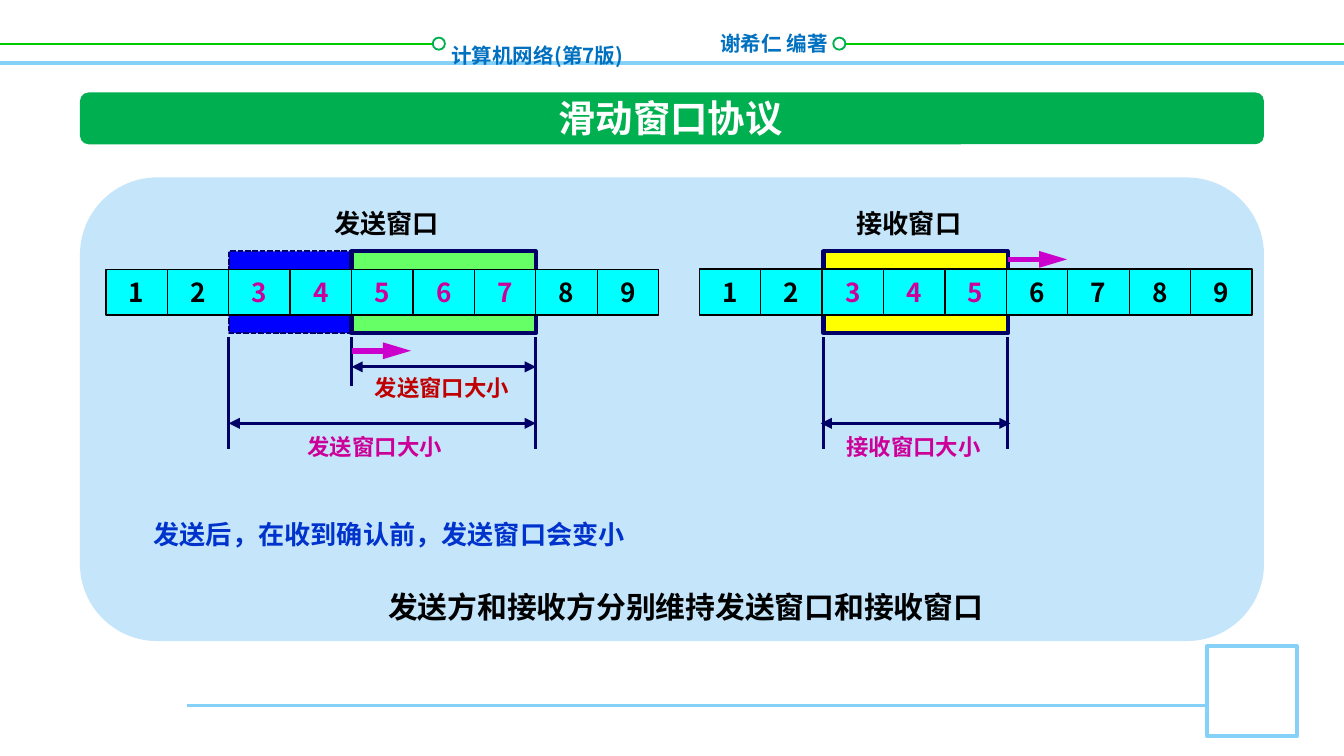
from dataclasses import dataclass
from lxml import etree
from pptx import Presentation
from pptx.dml.color import RGBColor
from pptx.enum.dml import MSO_LINE
from pptx.enum.shapes import MSO_CONNECTOR, MSO_SHAPE
from pptx.enum.text import MSO_ANCHOR, PP_ALIGN
from pptx.oxml.ns import qn
from pptx.util import Inches, Pt

RECT, ROUND, OVAL = MSO_SHAPE.RECTANGLE, MSO_SHAPE.ROUNDED_RECTANGLE, MSO_SHAPE.OVAL
LEFT, MID, RIGHT = PP_ALIGN.LEFT, PP_ALIGN.CENTER, PP_ALIGN.RIGHT
DASH = MSO_LINE.SQUARE_DOT
FACE = "Noto Sans CJK SC"
COLS, ROWS = 100, 56.25
UNIT = Inches(10) / COLS
CELL, TALL, COUNT = 4.57, 3.4, 9

HUES = {
    "white": "FFFFFF", "black": "000000", "sky": "85D1F7", "lime": "00CC00",
    "green": "00B050", "head": "0070C0", "pale": "C5E5FB", "blue": "0000FF",
    "navy": "000066", "mint": "66FF66", "cyan": "00FFFF", "gold": "FFFF00",
    "pink": "CC0099", "red": "C00000", "move": "CC00CC", "note": "0033CC",
}


@dataclass
class Box:
    x: float
    y: float
    w: float
    h: float


@dataclass
class Note:
    text: str
    box: Box
    size: int
    hue: str
    align: PP_ALIGN = LEFT
    wrap: bool = False
    lead: float | None = None


@dataclass
class Pane:
    start: int
    end: int
    fill: str
    width: float
    dash: bool = False


@dataclass
class Span:
    start: int
    end: int
    y: float
    over: float = 0


@dataclass
class Strip:
    x: float
    y: float
    shift: float
    lit: range
    panes: list[Pane]
    posts: dict[int, float]
    spans: list[Span]
    step: int
    step_y: float

    def col(self, n: int) -> float:
        return self.x + n * CELL

    def edge(self, n: int) -> float:
        return self.col(n) + self.shift


def grid(n: float) -> int:
    return round(n * UNIT)


def hue(name: str) -> RGBColor:
    return RGBColor.from_string(HUES[name])


def draw_box(kind: MSO_SHAPE, box: Box, fill: str, edge: str = "", width: float = 0, dash: bool = False) -> None:
    shape = slide.shapes.add_shape(kind, *map(grid, (box.x, box.y, box.w, box.h)))
    shape.shadow.inherit = False
    shape.fill.solid()
    shape.fill.fore_color.rgb = hue(fill)
    if not edge:
        shape.line.fill.background()
        return
    shape.line.color.rgb = hue(edge)
    shape.line.width = Pt(width)
    if dash:
        shape.line.dash_style = DASH


def draw_line(x1: float, y1: float, x2: float, y2: float, tint: str, width: float, **tips: str) -> None:
    line = slide.shapes.add_connector(MSO_CONNECTOR.STRAIGHT, *map(grid, (x1, y1, x2, y2)))
    line.line.color.rgb = hue(tint)
    line.line.width = Pt(width)
    pen = line.line._get_or_add_ln()
    for end in ("headEnd", "tailEnd"):
        if end in tips:
            etree.SubElement(pen, qn(f"a:{end}"), type="triangle", w="med", len=tips[end])
    etree.SubElement(line._element.spPr, qn("a:effectLst"))


def draw_note(note: Note) -> None:
    box = note.box
    frame = slide.shapes.add_textbox(*map(grid, (box.x, box.y, box.w, box.h))).text_frame
    frame.word_wrap = note.wrap
    frame.vertical_anchor = MSO_ANCHOR.MIDDLE
    para = frame.paragraphs[0]
    para.text = note.text
    para.alignment = note.align
    if note.lead:
        para.line_spacing = Pt(note.lead)
    font = para.font
    font.name, font.size, font.bold = FACE, Pt(note.size), True
    font.color.rgb = hue(note.hue)
    etree.SubElement(font._element, qn("a:ea"), typeface=FACE)


def draw_strip(strip: Strip) -> None:
    for pane in strip.panes:
        left, right = strip.edge(pane.start), strip.edge(pane.end)
        draw_box(RECT, Box(left, 18.7, right - left, 6.1), pane.fill, "navy", pane.width, pane.dash)
    draw_box(RECT, Box(strip.x, strip.y, COUNT * CELL, TALL), "cyan", "black", 0.75)
    for n in range(COUNT):
        x = strip.col(n)
        if n:
            draw_line(x, strip.y, x, strip.y + TALL, "black", 0.75)
        tint = "pink" if n + 1 in strip.lit else "black"
        draw_note(Note(str(n + 1), Box(x, strip.y, CELL, TALL), 14, tint, MID))
    for n, low in strip.posts.items():
        draw_line(strip.edge(n), 25.1, strip.edge(n), low, "navy", 1.5)
    for span in strip.spans:
        draw_line(strip.edge(span.start) - span.over, span.y, strip.edge(span.end) + span.over, span.y,
                  "navy", 1.5, headEnd="med", tailEnd="med")
    draw_line(strip.edge(strip.step), strip.step_y, strip.edge(strip.step + 1) - 0.15, strip.step_y,
              "move", 3, tailEnd="lg")


STRIPS = [
    Strip(7.88, 20.05, 0, range(3, 8),
          [Pane(2, 7, "blue", 1, True), Pane(4, 7, "mint", 2.25)],
          {2: 33.4, 4: 28.7, 7: 33.4}, [Span(2, 7, 31.5), Span(4, 7, 27.3)], 4, 26.1),
    Strip(52.03, 20.03, 0.1, range(3, 6), [Pane(2, 5, "gold", 2.25)],
          {2: 33.4, 5: 33.4}, [Span(2, 5, 31.5, 0.2)], 5, 19.3),
]

NOTES = [
    Note("谢希仁 编著", Box(52.6, 1.8, 11.6, 2.9), 11, "head", wrap=True),
    Note("计算机网络(第7版)", Box(32.35, 1.75, 15, 4.7), 11, "head", RIGHT, True, 13.4),
    Note("滑动窗口协议", Box(40.5, 6.55, 18.8, 4.4), 20, "white", MID),
    Note("发送窗口", Box(23.9, 14.9, 9.9, 3.4), 14, "black"),
    Note("接收窗口", Box(62.75, 14.9, 9.9, 3.4), 14, "black"),
    Note("发送窗口大小", Box(26.9, 27.35, 12.1, 3), 12, "red"),
    Note("发送窗口大小", Box(21.9, 31.7, 12.1, 3), 12, "pink"),
    Note("接收窗口大小", Box(62, 31.7, 12.1, 3), 12, "pink"),
    Note("发送后，在收到确认前，发送窗口会变小", Box(10.45, 38.05, 37.4, 3.4), 14, "note"),
    Note("发送方和接收方分别维持发送窗口和接收窗口", Box(24.85, 43.3, 52.4, 3.7), 16, "black", MID, True),
]

deck = Presentation()
deck.slide_width, deck.slide_height = grid(COLS), grid(ROWS)
slide = deck.slides.add_slide(deck.slide_layouts[6])

draw_line(0, 4.7, COLS, 4.7, "sky", 2)
for start, end, dot in ((0, 32.4, 32.2), (62, COLS, 62)):
    draw_line(start, 3.3, end, 3.3, "lime", 1)
    draw_box(OVAL, Box(dot, 2.8, 0.9, 0.9), "white", "green", 1)
draw_line(13.9, 52.5, 89.8, 52.5, "sky", 1.5)
draw_box(RECT, Box(89.8, 48.1, 6.7, 6.7), "white", "sky", 2)
draw_box(ROUND, Box(5.95, 6.88, 88.1, 3.86), "green")
draw_box(ROUND, Box(5.95, 13.2, 88.1, 34.5), "pale")
for strip in STRIPS:
    draw_strip(strip)
for note in NOTES:
    draw_note(note)

deck.save("out.pptx")
